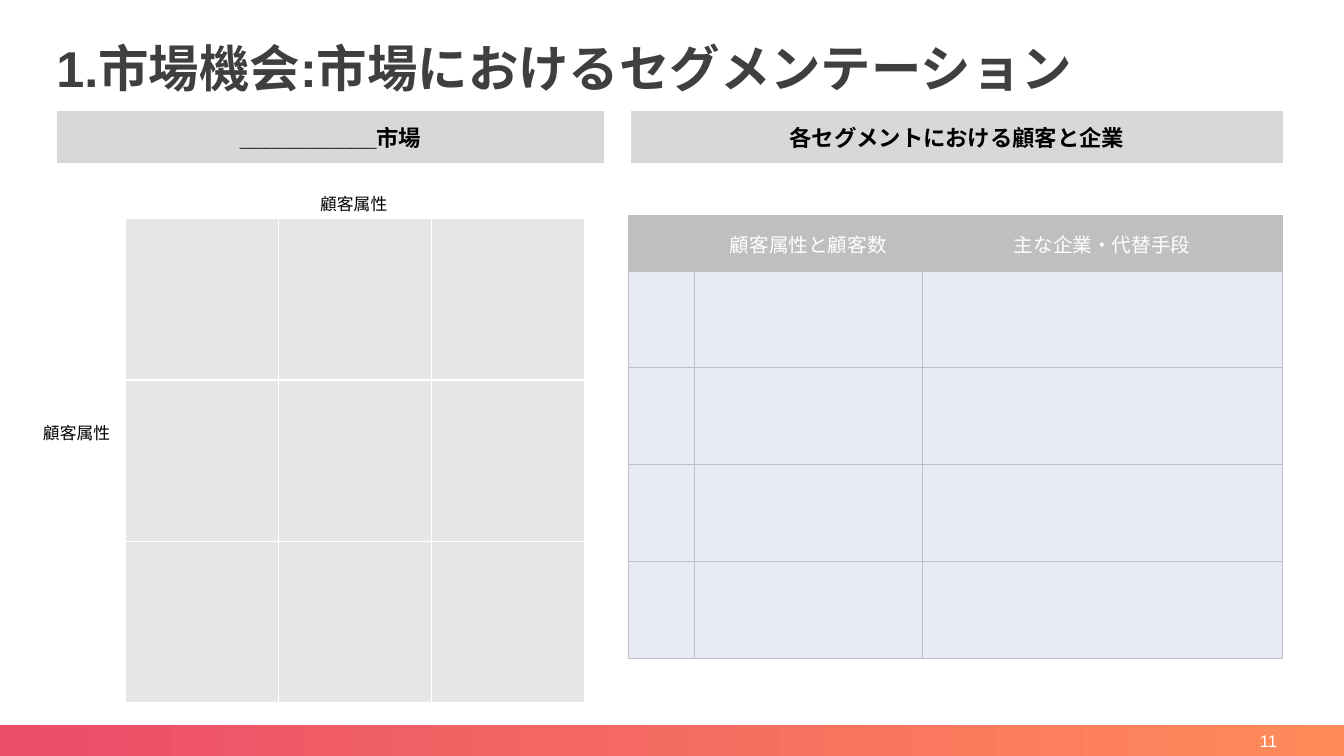
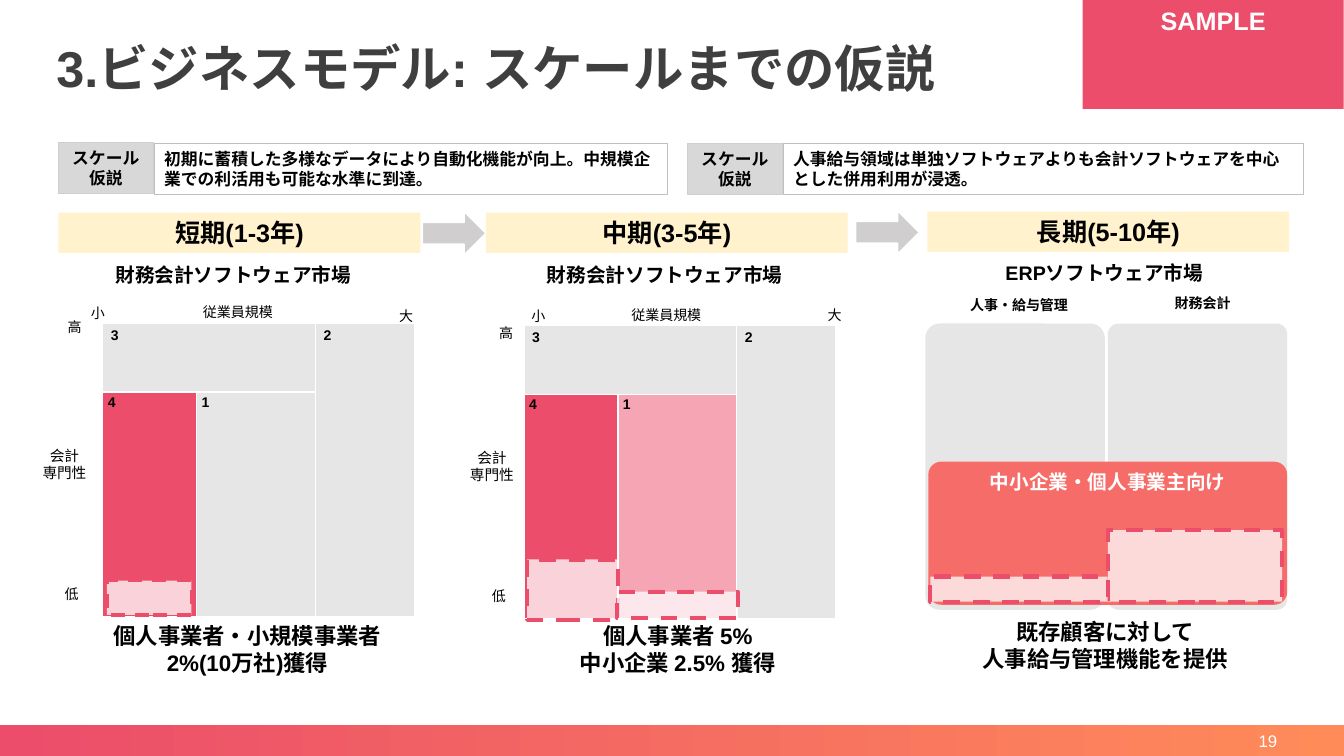
"""Build two business planning slides: market segmentation and scaling hypotheses."""
from lxml import etree
from pptx import Presentation
from pptx.dml.color import RGBColor
from pptx.enum.dml import MSO_LINE
from pptx.enum.shapes import MSO_SHAPE as Shape
from pptx.enum.text import MSO_ANCHOR as Anchor, PP_ALIGN as Align
from pptx.oxml.ns import qn
from pptx.util import Inches, Pt

FONT = "Arial"
BLACK, WHITE, TITLE_INK = "000000", "FFFFFF", "3F3F3F"
PINK, ORANGE, CORAL = "EC4D6A", "FF8B59", "F66C68"
PALE, LABEL_GRAY, RULE_GRAY, ARROW_GRAY = "E6E6E6", "D8D8D8", "BFBFBF", "D0CECE"
LAVENDER, CREAM = "E8EBF5", "FFF2CC"
GRID = Inches(0.1)
COLUMNS, ROWS = 133.33, 75


def paint(fill, color, opacity=100):
    fill.solid()
    fill.fore_color.rgb = RGBColor.from_string(color)
    if opacity < 100:
        solid = fill._xPr.find(qn("a:solidFill"))
        etree.SubElement(solid[0], qn("a:alpha"), val=str(opacity * 1000))


def add_box(slide, frame, text="", size=12, bold=False, ink=BLACK, align=Align.CENTER,
            anchor=Anchor.TOP, kind=None, fill=None, opacity=100, line=None, weight=0.75,
            corner=None):
    frame = [round(cells * GRID) for cells in frame]
    if kind is None:
        shape = slide.shapes.add_textbox(*frame)
    else:
        shape = slide.shapes.add_shape(kind, *frame)
        shape.shadow.inherit = False
        if fill:
            paint(shape.fill, fill, opacity)
        else:
            shape.fill.background()
        if line:
            paint(shape.line.fill, line)
            shape.line.width = Pt(weight)
        else:
            shape.line.fill.background()
        if corner:
            shape.adjustments[0] = corner
    text_frame = shape.text_frame
    text_frame.word_wrap = True
    text_frame.vertical_anchor = anchor
    for index, words in enumerate(text.split("\n") if text else []):
        paragraph = text_frame.add_paragraph() if index else text_frame.paragraphs[0]
        paragraph.alignment = align
        run = paragraph.add_run()
        run.text = words
        run.font.name, run.font.size, run.font.bold = FONT, Pt(size), bold
        paint(run.font.fill, ink)
    return shape


presentation = Presentation()
presentation.slide_width = round(COLUMNS * GRID)
presentation.slide_height = ROWS * GRID

slides = []
for title, number in (("1.市場機会:市場におけるセグメンテーション", "11"),
                      ("3.ビジネスモデル: スケールまでの仮説", "19")):
    slide = presentation.slides.add_slide(presentation.slide_layouts[6])
    slides.append(slide)
    band = add_box(slide, (0, 71.9, COLUMNS, 3.1), kind=Shape.RECTANGLE, fill=PINK)
    band.fill.gradient()
    band.fill.gradient_angle = 0
    for stop, color in zip(band.fill.gradient_stops, ("EB4D6A", ORANGE)):
        stop.color.rgb = RGBColor.from_string(color)
    heading = add_box(slide, (5.6, 2.9, 122, 6.9), title, 36, True, TITLE_INK,
                      Align.LEFT, Anchor.BOTTOM).text_frame
    heading.margin_left = heading.margin_right = 0
    heading.margin_top = heading.margin_bottom = 0
    heading.paragraphs[0].line_spacing = 0.9
    add_box(slide, (97.7, 71.8, 30, 3.4), number, 12, False, WHITE, Align.RIGHT, Anchor.MIDDLE)
market_slide, model_slide = slides

segment_columns, segment_rows = (9.3, 11.8, 9.8), (6.8, 22.3)
segment_names = [["3", "", "2"], ["4", "1", ""]]
table_specs = (
    (market_slide, (62.3, 21.4), (6.6, 22.6, 35.7), (5.5,) + (9.6,) * 4, RULE_GRAY, 0.75,
     [[RULE_GRAY] * 3] + [[LAVENDER] * 3] * 4,
     [["", "顧客属性と顧客数", "主な企業・代替手段"]] + [[""] * 3] * 4),
    (market_slide, (12.4, 21.7), (15.2,) * 3, (16,) * 3, WHITE, 1,
     [[PALE] * 3] * 3, [[""] * 3] * 3),
    (model_slide, (52, 32.3), segment_columns, segment_rows, WHITE, 1,
     [[PALE] * 3, [PINK, (PINK, 50), PALE]], segment_names),
    (model_slide, (10.2, 32.1), segment_columns, segment_rows, WHITE, 1,
     [[PALE] * 3, [PINK, PALE, PALE]], segment_names),
)
for slide, (left, top), widths, heights, border, weight, fills, names in table_specs:
    frame = [round(cells * GRID) for cells in (left, top, sum(widths), sum(heights))]
    table = slide.shapes.add_table(len(heights), len(widths), *frame).table
    table.first_row = table.horz_banding = False
    for column, width in zip(table.columns, widths):
        column.width = round(width * GRID)
    for row, height in zip(table.rows, heights):
        row.height = round(height * GRID)
    segmented = names is segment_names
    if segmented:
        table.cell(0, 0).merge(table.cell(0, 1))
        table.cell(0, 2).merge(table.cell(1, 2))
    for row_index, row in enumerate(table.rows):
        for column_index, cell in enumerate(row.cells):
            properties = cell._tc.get_or_add_tcPr()
            for side in ("a:lnL", "a:lnR", "a:lnT", "a:lnB"):
                edge = etree.SubElement(properties, qn(side), w=str(Pt(weight)))
                solid = etree.SubElement(edge, qn("a:solidFill"))
                etree.SubElement(solid, qn("a:srgbClr"), val=border)
            fill = fills[row_index][column_index]
            paint(cell.fill, *([fill] if isinstance(fill, str) else fill))
            if segmented:
                side_margin, end_margin = ((0.08, 0.04), (0.05, 0.03))[row_index]
                cell.margin_left = cell.margin_right = Inches(side_margin)
                cell.margin_top = cell.margin_bottom = Inches(end_margin)
            else:
                cell.vertical_anchor = Anchor.MIDDLE
            if names[row_index][column_index]:
                paragraph = cell.text_frame.paragraphs[0]
                paragraph.alignment = Align.LEFT if segmented else Align.CENTER
                run = paragraph.add_run()
                run.text = names[row_index][column_index]
                run.font.name, run.font.bold = FONT, segmented
                run.font.size = Pt(10 if segmented else 14)
                paint(run.font.fill, BLACK if segmented else WHITE)

for left, width, text in ((5.6, 54.4, "___________市場"),
                          (62.6, 64.7, "各セグメントにおける顧客と企業")):
    add_box(market_slide, (left, 11, width, 5.2), text, 16, True, anchor=Anchor.MIDDLE,
            kind=Shape.RECTANGLE, fill=LABEL_GRAY, line=WHITE)
for frame in ((23.6, 18.7, 23, 3), (1.1, 41.4, 13, 3)):
    add_box(market_slide, frame, "顧客属性")

add_box(model_slide, (107.4, 0, 25.9, 10.8), "SAMPLE", 18, True, WHITE,
        kind=Shape.RECTANGLE, fill=PINK)

hypotheses = (
    (5.8, 14.1, 50.9, "初期に蓄積した多様なデータにより自動化機能が向上。中規模企業での利活用も可能な水準に到達。"),
    (68.2, 14.2, 51.6, "人事給与領域は単独ソフトウェアよりも会計ソフトウェアを中心とした併用利用が浸透。"),
)
for left, top, width, claim in hypotheses:
    add_box(model_slide, (left, top, 9.4, 5.1), "スケール仮説", 12, True, anchor=Anchor.MIDDLE,
            kind=Shape.RECTANGLE, fill=LABEL_GRAY, line=ARROW_GRAY)
    add_box(model_slide, (left + 9.5, 14.2, width, 5.1), claim, 12, True, align=Align.LEFT,
            anchor=Anchor.MIDDLE, kind=Shape.RECTANGLE, line=RULE_GRAY)

stages = (
    ((5.8, 21.1), "短期(1-3年)", (5.2, 25.6), "財務会計ソフトウェア市場",
     (6.6, 61.2), "個人事業者・小規模事業者\n2%(10万社)獲得"),
    ((48.2, 21.1), "中期(3-5年)", (48, 25.6), "財務会計ソフトウェア市場",
     (49.3, 61.2), "個人事業者 5%\n中小企業 2.5% 獲得"),
    ((92, 21), "長期(5-10年)", (91.6, 25.4), "ERPソフトウェア市場",
     (91.7, 60.8), "既存顧客に対して\n人事給与管理機能を提供"),
)
for period_spot, period, market_spot, market, outcome_spot, outcome in stages:
    add_box(model_slide, (*period_spot, 35.9, 4), period, 18, True,
            kind=Shape.RECTANGLE, fill=CREAM)
    add_box(model_slide, (*market_spot, 35.9, 3.4), market, 14, True)
    add_box(model_slide, (*outcome_spot, 35.9, 6.4), outcome, 16, True)
for left, top in ((41.9, 21), (84.9, 20.9)):
    add_box(model_slide, (left, top, 6.3, 4.3), kind=Shape.RIGHT_ARROW,
            fill=ARROW_GRAY, line=WHITE, weight=1)

axis_labels = (
    ("従業員規模", 10, (23, 2.7), ((12.1, 29.6), (54.6, 29.9))),
    ("会計\n専門性", 10.5, (13, 4.7), ((-0.1, 43.8), (42.3, 44))),
    ("高", 10, (12, 2.7), ((1.4, 31.1), (44.2, 31.7))),
    ("低", 10, (12, 2.7), ((1.1, 57.6), (43.5, 57.8))),
    ("小", 10, (9, 2.7), ((5.2, 29.7), (48.9, 30))),
    ("大", 10, (9, 2.7), ((35.8, 30), (78.3, 29.9))),
)
for text, size, extent, spots in axis_labels:
    for spot in spots:
        add_box(model_slide, (*spot, *extent), text, size)

for left, corner, label_left, label_top, label in (
        (91.8, 0.08, 89.6, 28.9, "人事・給与管理"), (109.9, 0.06, 107.8, 28.7, "財務会計")):
    add_box(model_slide, (left, 32.1, 17.8, 28.4), kind=Shape.ROUNDED_RECTANGLE,
            fill=PALE, corner=corner)
    add_box(model_slide, (label_left, label_top, 23, 2.7), label, 10, True)
add_box(model_slide, (92.1, 45.8, 35.6, 14.2), "中小企業・個人事業主向け", 14, True, WHITE,
        kind=Shape.ROUNDED_RECTANGLE, fill=CORAL, corner=0.09)

for frame, weight in (((109.9, 52.6, 17.3, 7.1), 3), ((92.3, 57.2, 17.6, 2.5), 3),
                      ((10.6, 57.6, 8.4, 3.4), 2.5), ((52.3, 55.5, 9, 6), 3),
                      ((61.2, 58.7, 12, 2.6), 3)):
    share = add_box(model_slide, frame, kind=Shape.RECTANGLE, fill=WHITE, opacity=75,
                    line=PINK, weight=weight)
    share.line.dash_style = MSO_LINE.DASH

presentation.save("out.pptx")
